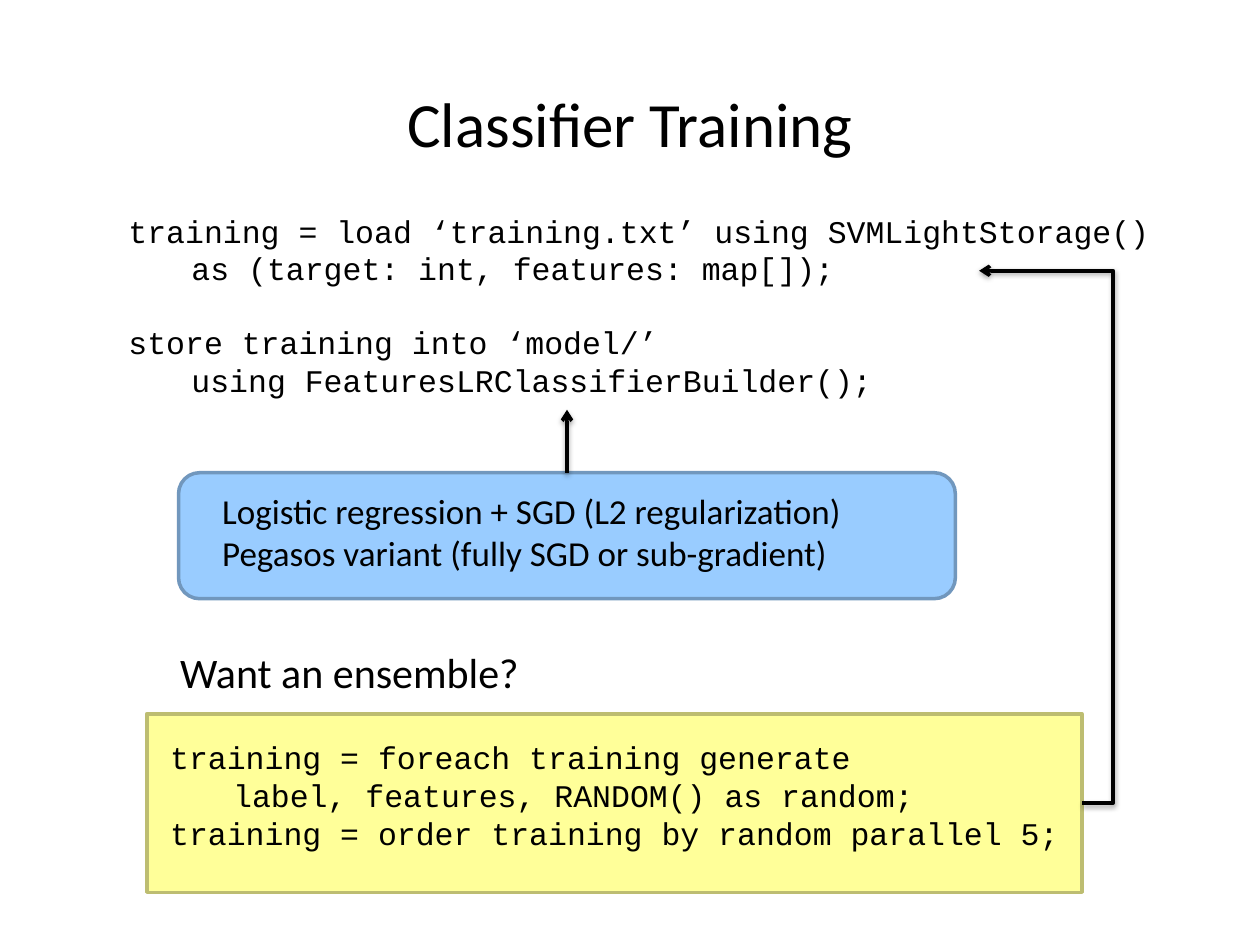
from lxml.etree import SubElement
from pptx import Presentation
from pptx.dml.color import RGBColor
from pptx.enum.shapes import MSO_CONNECTOR, MSO_SHAPE
from pptx.enum.text import MSO_ANCHOR, PP_ALIGN
from pptx.oxml import parse_xml
from pptx.oxml.ns import nsdecls, qn
from pptx.util import Cm, Pt

BLACK = RGBColor(0x00, 0x00, 0x00)
YELLOW = RGBColor(0xFF, 0xFF, 0x99)
OLIVE = RGBColor(0xBD, 0xBD, 0x71)
LIGHT_BLUE = RGBColor(0x99, 0xCC, 0xFF)
STEEL_BLUE = RGBColor(0x71, 0x97, 0xBD)
SHADOW = (
    f'<a:effectLst {nsdecls("a")}><a:outerShdw blurRad="{Pt(3.1)}" dist="{Pt(1.6)}" '
    'dir="5400000" rotWithShape="0"><a:srgbClr val="000000"><a:alpha val="38000"/>'
    '</a:srgbClr></a:outerShdw></a:effectLst>'
)


def add_text(left, top, width, height, text, font_name, size):
    box = slide.shapes.add_textbox(Cm(left), Cm(top), Cm(width), Cm(height))
    text_frame = box.text_frame
    text_frame.word_wrap = True
    text_frame.text = text
    for paragraph in text_frame.paragraphs:
        for run in paragraph.runs:
            run.font.name = font_name
            run.font.size = Pt(size)
            run.font.color.rgb = BLACK
    return text_frame


presentation = Presentation()
presentation.slide_width = Cm(25.4)
presentation.slide_height = Cm(19.05)
slide = presentation.slides.add_slide(presentation.slide_layouts[6])

script_text = add_text(
    2.34, 4.14, 21.59, 4.11,
    "training = load ‘training.txt’ using SVMLightStorage()\n"
    "\tas (target: int, features: map[]);\n"
    "store training into ‘model/’\n"
    "\tusing FeaturesLRClassifierBuilder();",
    "Courier New", 18,
)
script_text.paragraphs[2].space_before = Pt(20.4)

add_text(3.38, 12.9, 8.1, 1.27, "Want an ensemble?", "Calibri", 24)

panels = []
for kind, left, top, width, height, fill, outline in (
    (MSO_SHAPE.RECTANGLE, 2.96, 14.39, 18.85, 3.6, YELLOW, OLIVE),
    (MSO_SHAPE.ROUNDED_RECTANGLE, 3.6, 9.53, 15.66, 2.54, LIGHT_BLUE, STEEL_BLUE),
):
    panel = slide.shapes.add_shape(kind, Cm(left), Cm(top), Cm(width), Cm(height))
    panel.shadow.inherit = False
    panel.fill.solid()
    panel.fill.fore_color.rgb = fill
    panel.line.color.rgb = outline
    panel.line.width = Pt(2)
    panels.append(panel)
ensemble_panel, learner_panel = panels

add_text(
    3.18, 14.76, 18.42, 2.57,
    "training = foreach training generate\n"
    "\tlabel, features, RANDOM() as random;\n"
    "training = order training by random parallel 5;",
    "Courier New", 18,
)
add_text(
    4.23, 9.74, 14.73, 1.96,
    "Logistic regression + SGD (L2 regularization)\n"
    "Pegasos variant (fully SGD or sub-gradient)",
    "Calibri", 20,
)

for kind, panel, site, start_x, start_y, end_x, end_y in (
    (MSO_CONNECTOR.ELBOW, ensemble_panel, 3, 21.81, 16.19, 19.74, 5.46),
    (MSO_CONNECTOR.STRAIGHT, learner_panel, 0, 11.43, 9.53, 11.43, 8.26),
):
    arrow = slide.shapes.add_connector(kind, Cm(start_x), Cm(start_y), Cm(end_x), Cm(end_y))
    arrow.begin_connect(panel, site)
    arrow.line.color.rgb = BLACK
    arrow.line.width = Pt(2)
    SubElement(arrow.line._get_or_add_ln(), qn("a:tailEnd"), type="arrow")
    properties = arrow._element.spPr
    properties.append(parse_xml(SHADOW))
    if kind == MSO_CONNECTOR.ELBOW:
        adjustments = properties.find(qn("a:prstGeom")).find(qn("a:avLst"))
        SubElement(adjustments, qn("a:gd"), name="adj1", fmla="val -30600")

title = add_text(0, 1.52, 25.4, 1.91, "Classifier Training", "Calibri", 36)
title.vertical_anchor = MSO_ANCHOR.MIDDLE
title.paragraphs[0].alignment = PP_ALIGN.CENTER

presentation.save("out.pptx")
